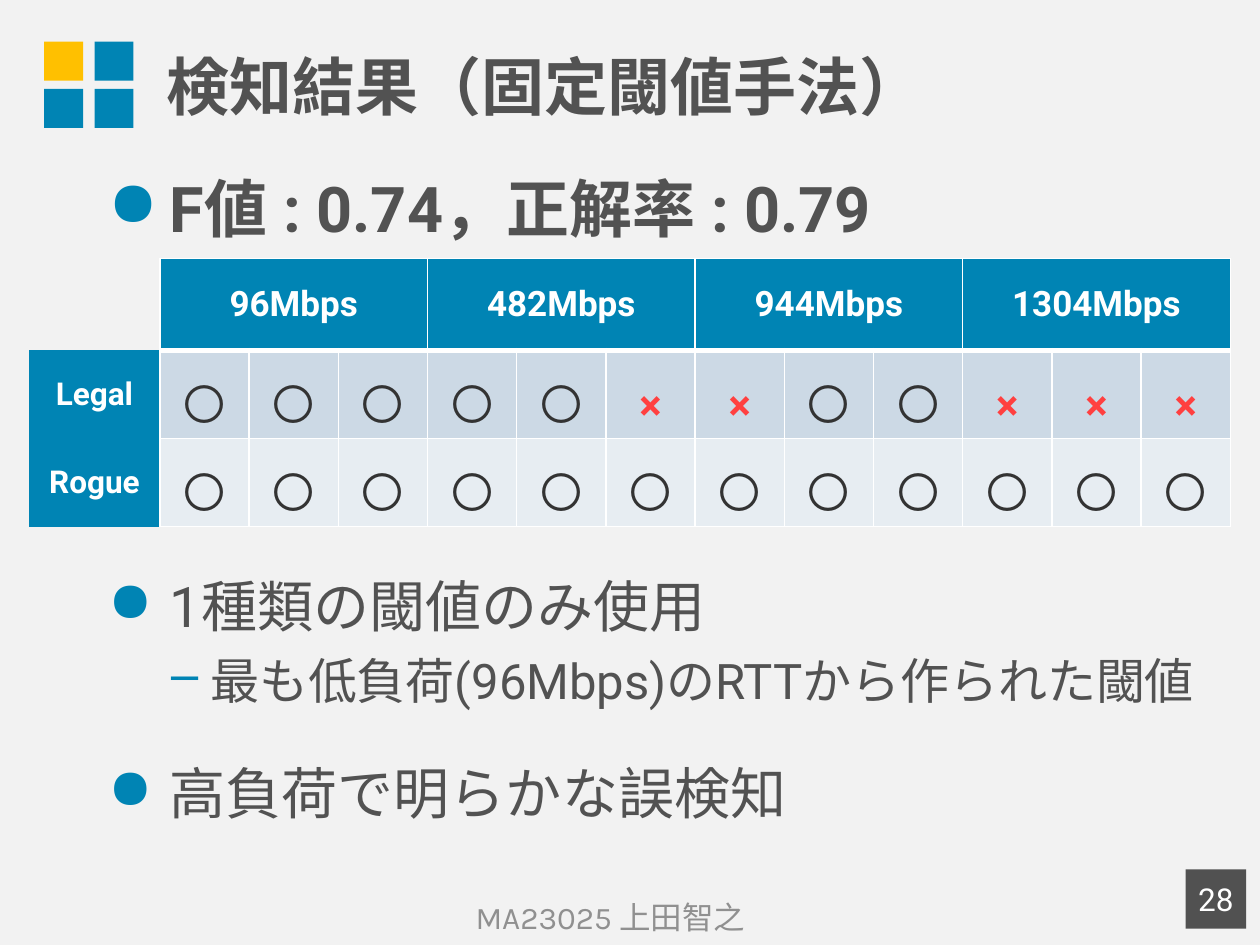
from pptx import Presentation
from pptx.dml.color import RGBColor as RGB
from pptx.enum.shapes import MSO_SHAPE as Preset
from pptx.enum.text import MSO_ANCHOR as Anchor, PP_ALIGN as Align
from pptx.oxml.ns import qn
from pptx.util import Emu, Inches, Pt
from lxml.etree import SubElement

COLORS = {
    "paper": "F2F2F2", "blue": "0084B4", "yellow": "FFC000",
    "ink": "525252", "badge": "515151", "footer": "909090",
    "white": "FFFFFF", "hit": "333333", "miss": "FF4040",
    "legal": "CCD9E5", "rogue": "E7EDF2",
}
WIDTH, HEIGHT = Inches(10), Inches(7.5)

RATES = ["96Mbps", "482Mbps", "944Mbps", "1304Mbps"]
TRIALS = 3
RESULTS = {"Legal": "〇〇〇〇〇××〇〇×××", "Rogue": "〇" * 12}

# Text, outline level, size, bold, space before in points
FINDINGS = [
    ("F値 : 0.74，正解率 : 0.79", 0, 36, True, 0),
    ("1種類の閾値のみ使用", 0, 32, False, 186),
    ("最も低負荷(96Mbps)のRTTから作られた閾値", 1, 28, False, 7),
    ("高負荷で明らかな誤検知", 0, 32, False, 28),
]
# Bullet sign, left margin and hanging indent in inches
LEVELS = [("●", 0.49, -0.49), ("–", 0.81, -0.31)]


def color(name):
    return RGB.from_string(COLORS[name])


def area(left, top, width, height):
    """Turn shares of the slide into a position and a size."""
    return (Emu(int(WIDTH * left)), Emu(int(HEIGHT * top)),
            Emu(int(WIDTH * width)), Emu(int(HEIGHT * height)))


def paint(part, name):
    part.fill.solid()
    part.fill.fore_color.rgb = color(name)


def write(paragraph, text, size, ink, bold=False, font="Roboto", **layout):
    run = paragraph.add_run()
    run.text = text
    for key, value in {"size": Pt(size), "bold": bold, "name": font}.items():
        setattr(run.font, key, value)
    run.font.color.rgb = color(ink)
    SubElement(run.font._element, qn("a:ea"), typeface=font)
    for key, value in layout.items():
        setattr(paragraph, key, value)


def add_block(slide, place, fill):
    block = slide.shapes.add_shape(Preset.RECTANGLE, *place)
    block.shadow.inherit = False
    block.line.fill.background()
    paint(block, fill)
    return block


def add_text(slide, place, anchor=Anchor.MIDDLE):
    frame = slide.shapes.add_textbox(*place).text_frame
    for key, value in {"word_wrap": True, "vertical_anchor": anchor}.items():
        setattr(frame, key, value)
    return frame


def add_emblem(slide):
    for row in range(2):
        for column in range(2):
            fill = "blue" if row or column else "yellow"
            add_block(slide, area(0.035 + 0.04 * column, 0.044 + 0.05 * row,
                                  0.031, 0.0413), fill)


def set_bullet(paragraph, level):
    sign, margin, indent = LEVELS[level]
    props = paragraph._p.get_or_add_pPr()
    props.set("marL", str(Inches(margin)))
    props.set("indent", str(Inches(indent)))
    tint = SubElement(props, qn("a:buClr"))
    SubElement(tint, qn("a:srgbClr"), val=COLORS["blue"])
    SubElement(props, qn("a:buChar"), char=sign)


def add_findings(slide):
    frame = add_text(slide, area(0.076, 0.1733, 0.915, 0.772), Anchor.TOP)
    for index, (text, level, size, bold, gap) in enumerate(FINDINGS):
        paragraph = frame.add_paragraph() if index else frame.paragraphs[0]
        write(paragraph, text, size, "ink", bold, level=level, space_before=Pt(gap))
        set_bullet(paragraph, level)


def set_borders(cell, left=0, right=0, top=0, bottom=0):
    """Draw white borders with widths in points; zero means no line."""
    props = cell._tc.get_or_add_tcPr()
    widths = {"L": left, "R": right, "T": top, "B": bottom}
    for side, width in widths.items():
        edge = SubElement(props, qn(f"a:ln{side}"), w=str(Pt(width)))
        if width:
            ink = SubElement(edge, qn("a:solidFill"))
            SubElement(ink, qn("a:srgbClr"), val=COLORS["white"])
        else:
            SubElement(edge, qn("a:noFill"))


def fill_cell(cell, text, fill, size, ink="white", bold=True,
              anchor=Anchor.MIDDLE, **layout):
    paint(cell, fill)
    cell.vertical_anchor = anchor
    write(cell.text_frame.paragraphs[0], text, size, ink, bold,
          alignment=Align.CENTER, **layout)


def add_results(slide):
    columns = 1 + TRIALS * len(RATES)
    table = slide.shapes.add_table(1 + len(RESULTS), columns,
                                   *area(0.023, 0.2733, 0.954, 0.28)).table
    for index, column in enumerate(table.columns):
        column.width = Inches(0.708 if index else 1.04)
    for index, row in enumerate(table.rows):
        row.height = Inches(0.69 if index else 0.73)

    # Header: one merged cell per transfer rate
    corner = table.cell(0, 0)
    set_borders(corner)
    corner.fill.background()
    for index, rate in enumerate(RATES):
        first = 1 + TRIALS * index
        for column in range(first, first + TRIALS):
            set_borders(table.cell(0, column), 1, 1, 1, 3)
        table.cell(0, first).merge(table.cell(0, first + TRIALS - 1))
        fill_cell(table.cell(0, first), rate, "blue", 20)

    # Body: row label, then one mark per trial
    for row, (label, marks) in enumerate(RESULTS.items(), 1):
        set_borders(table.cell(row, 0), right=1)
        fill_cell(table.cell(row, 0), label, "blue", 18)
        for column, mark in enumerate(marks, 1):
            missed = mark == "×"
            cell = table.cell(row, column)
            set_borders(cell, 1, 1, 3 if row == 1 else 1, 1)
            fill_cell(cell, mark, label.lower(), 24, "miss" if missed else "hit",
                      missed, Anchor.TOP, line_spacing=1.5)


def add_footer(slide):
    author = add_text(slide, area(0.035, 0.944, 0.899, 0.0533))
    write(author.paragraphs[0], "MA23025 上田智之", 18, "footer", font="Karla",
          alignment=Align.CENTER)
    badge = add_block(slide, area(0.941, 0.92, 0.048, 0.0627), "badge")
    badge.text_frame.vertical_anchor = Anchor.MIDDLE
    write(badge.text_frame.paragraphs[0], "28", 18, "white", alignment=Align.CENTER)


def main():
    deck = Presentation()
    deck.slide_width, deck.slide_height = WIDTH, HEIGHT
    slide = deck.slides.add_slide(deck.slide_layouts[6])
    paint(slide.background, "paper")

    # Heading
    add_emblem(slide)
    title = add_text(slide, area(0.122, 0.0067, 0.878, 0.1667))
    write(title.paragraphs[0], "検知結果（固定閾値手法）", 36, "ink", True)

    # Content
    add_findings(slide)
    add_results(slide)
    add_footer(slide)
    deck.save("out.pptx")


if __name__ == "__main__":
    main()
